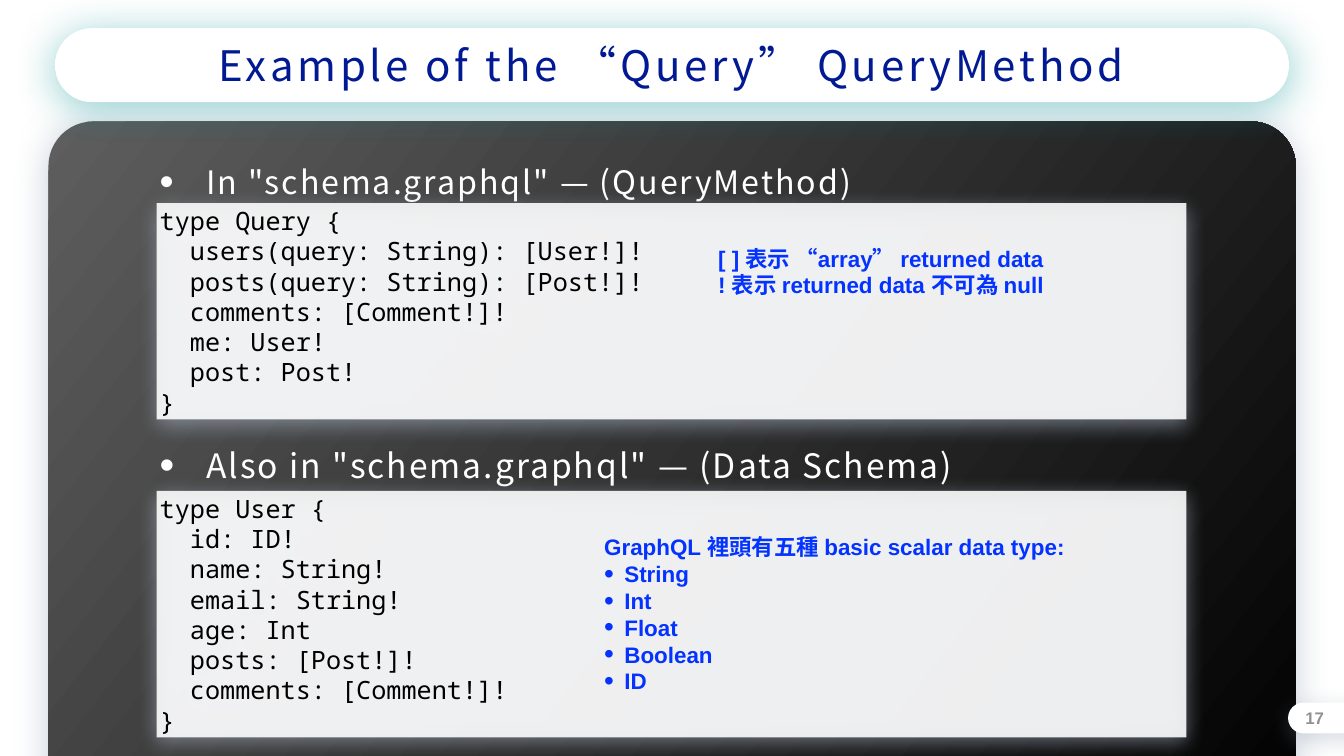
from lxml import etree
from pptx import Presentation
from pptx.dml.color import RGBColor
from pptx.enum.shapes import MSO_SHAPE
from pptx.enum.text import MSO_ANCHOR, MSO_AUTO_SIZE, PP_ALIGN
from pptx.oxml.ns import qn
from pptx.util import Cm, Pt

RECTANGLE, ROUNDED = MSO_SHAPE.RECTANGLE, MSO_SHAPE.ROUNDED_RECTANGLE
LEFT, CENTER, RIGHT = PP_ALIGN.LEFT, PP_ALIGN.CENTER, PP_ALIGN.RIGHT
MIDDLE, NO_AUTOFIT = MSO_ANCHOR.MIDDLE, MSO_AUTO_SIZE.NONE

COLORS = {
    "white": "FFFFFF", "black": "000000", "card_light": "5E5E5E",
    "title": "011993", "note": "0433FF", "number": "919191",
    "glow": "A7B4C6", "badge_shadow": "7A899F", "title_glow": "009193",
}
SANS, MONO, ARIAL = "Noto Sans CJK SC", "Noto Sans Mono", "Arial"
COLUMN_LEFT, COLUMN_WIDTH = 7.9, 51.9

QUERY_CODE = """type Query {
  users(query: String): [User!]!
  posts(query: String): [Post!]!
  comments: [Comment!]!
  me: User!
  post: Post!
}""".split("\n")
USER_CODE = """type User {
  id: ID!
  name: String!
  email: String!
  age: Int
  posts: [Post!]!
  comments: [Comment!]!
}""".split("\n")
SCALAR_TYPES = ["String", "Int", "Float", "Boolean", "ID"]


def rgb(name):
    return RGBColor.from_string(COLORS[name])


def add_child(parent, tag, **attributes):
    values = {key: str(value) for key, value in attributes.items()}
    return etree.SubElement(parent, qn(tag), values)


def add_shadow(shape, color, alpha, blur, distance):
    """Give the shape a downward outer shadow; alpha in percent, lengths in points."""
    shape.shadow.inherit = False
    effects = shape._element.spPr.find(qn("a:effectLst"))
    shadow = add_child(effects, "a:outerShdw", blurRad=Pt(blur), dist=Pt(distance),
                       dir=5400000, algn="ctr", rotWithShape=0)
    shade = add_child(shadow, "a:srgbClr", val=COLORS[color])
    add_child(shade, "a:alpha", val=alpha * 1000)


def add_panel(slide, kind, box, shadow, radius=None, opacity=100):
    """Add a white, borderless panel; box holds left, top, width, height in cm."""
    shape = slide.shapes.add_shape(kind, *map(Cm, box))
    if radius is not None:
        shape.adjustments[0] = radius
    shape.fill.solid()
    shape.fill.fore_color.rgb = rgb("white")
    if opacity < 100:
        color = shape._element.spPr.find(qn("a:solidFill"))[0]
        add_child(color, "a:alpha", val=opacity * 1000)
    shape.line.fill.background()
    add_shadow(shape, *shadow)
    return shape


def add_card(slide):
    card = add_panel(slide, ROUNDED, (2.44, 6.12, 62.87, 36.45),
                     ("glow", 61, 50, 6.6), radius=0.062)
    card.fill.gradient()
    card.fill.gradient_angle = 360 - 38
    stops = zip(card.fill.gradient_stops, ("card_light", "black"), (0, 1))
    for stop, color, position in stops:
        stop.color.rgb = rgb(color)
        stop.position = position
    return card


def send_to_back(slide, *shapes):
    """Place the shapes behind all others, the first one lowest."""
    for position, shape in enumerate(shapes, start=2):
        slide.shapes._spTree.insert(position, shape._element)


def prepare_frame(shape, margin=0.15):
    frame = shape.text_frame
    frame.word_wrap = True
    frame.auto_size = NO_AUTOFIT
    frame.vertical_anchor = MIDDLE
    frame.margin_left = frame.margin_right = Cm(margin)
    frame.margin_top = frame.margin_bottom = Cm(margin)
    return frame


def move(shape, box):
    shape.left, shape.top, shape.width, shape.height = map(Cm, box)


def add_bullet(paragraph, indent):
    properties = paragraph._p.get_or_add_pPr()
    properties.set("marL", str(Cm(indent)))
    properties.set("indent", str(-Cm(indent)))
    add_child(properties, "a:buSzPct", val=125000)
    add_child(properties, "a:buFont", typeface=ARIAL)
    add_child(properties, "a:buChar", char="•")


def write(frame, text, *, size, font, color, bold=False, align=LEFT,
          tracking=0, line_spacing=None, space_before=0, bullet_indent=None):
    """Write one paragraph, filling the frame's empty first paragraph if there is one."""
    paragraph = frame.paragraphs[-1]
    if paragraph.runs:
        paragraph = frame.add_paragraph()
    paragraph.alignment = align
    paragraph.space_before = Pt(space_before)
    if line_spacing:
        paragraph.line_spacing = line_spacing
    if bullet_indent:
        add_bullet(paragraph, bullet_indent)
    run = paragraph.add_run()
    run.text = text
    run.font.size = Pt(size)
    run.font.name = font
    run.font.bold = bold
    run.font.color.rgb = rgb(color)
    properties = run.font._element
    if tracking:
        properties.set("spc", str(round(tracking * 100)))
    east_asian = add_child(properties, "a:ea", typeface=SANS)
    properties.find(qn("a:latin")).addnext(east_asian)


def fill_heading(placeholder, text, top, height, size, tracking, line_spacing):
    move(placeholder, (COLUMN_LEFT, top, COLUMN_WIDTH, height))
    write(prepare_frame(placeholder), text, size=size, font=SANS, color="white",
          tracking=tracking, line_spacing=line_spacing, space_before=18,
          bullet_indent=2.34)


def add_code(slide, lines, top, height):
    panel = add_panel(slide, RECTANGLE, (COLUMN_LEFT, top, COLUMN_WIDTH, height),
                      ("glow", 61, 30, 6.6), opacity=89)
    frame = prepare_frame(panel)
    for line in lines:
        write(frame, line, size=36, font=MONO, color="black", line_spacing=Pt(43.2))


def add_note(slide, box, lines, bullets=(), align=LEFT):
    frame = prepare_frame(slide.shapes.add_textbox(*map(Cm, box)))
    style = dict(size=32, font=ARIAL, color="note", bold=True, align=align,
                 line_spacing=Pt(38.4))
    for line in lines:
        write(frame, line, **style)
    for bullet in bullets:
        write(frame, bullet, bullet_indent=1.02, **style)


def add_slide_number(slide, number):
    frame = prepare_frame(slide.shapes.add_textbox(
        Cm(64.95), Cm(35.56), Cm(1.91), Cm(1.27)), margin=0.13)
    write(frame, number, size=24, font=ARIAL, color="number", bold=True, align=RIGHT)


def main():
    presentation = Presentation()
    presentation.slide_width, presentation.slide_height = Cm(67.74), Cm(38.1)
    slide = presentation.slides.add_slide(presentation.slide_layouts[3])
    title, query_heading, schema_heading = slide.placeholders

    title_box = (2.77, 1.42, 62.2, 3.73)
    card = add_card(slide)
    badge = add_panel(slide, ROUNDED, (64.92, 35.41, 4.29, 1.55),
                      ("badge_shadow", 31, 34, 9.5), radius=0.5)
    pill = add_panel(slide, ROUNDED, title_box, ("title_glow", 44, 60, 6.6), radius=0.5)
    send_to_back(slide, card, badge, pill)

    move(title, title_box)
    write(prepare_frame(title), "Example of the “Query” QueryMethod", size=60,
          font=SANS, color="title", align=CENTER, tracking=5.4, space_before=30)

    fill_heading(query_heading, 'In "schema.graphql" — (QueryMethod)',
                 top=7.82, height=1.88, size=46, tracking=2.8, line_spacing=1.4)
    add_code(slide, QUERY_CODE, top=10.24, height=10.9)
    add_note(slide, (35.84, 11.96, 17.12, 3.45),
             ["[ ] 表示 “array” returned data", "! 表示 returned data 不可為 null"],
             align=CENTER)

    fill_heading(schema_heading, 'Also in "schema.graphql" — (Data Schema)',
                 top=22.25, height=1.96, size=48, tracking=2.9, line_spacing=1.2)
    add_code(slide, USER_CODE, top=24.74, height=12.42)
    add_note(slide, (30.3, 26.64, 23.57, 8.59),
             ["GraphQL 裡頭有五種 basic scalar data type:"], bullets=SCALAR_TYPES)

    add_slide_number(slide, "17")
    presentation.save("out.pptx")


if __name__ == "__main__":
    main()
